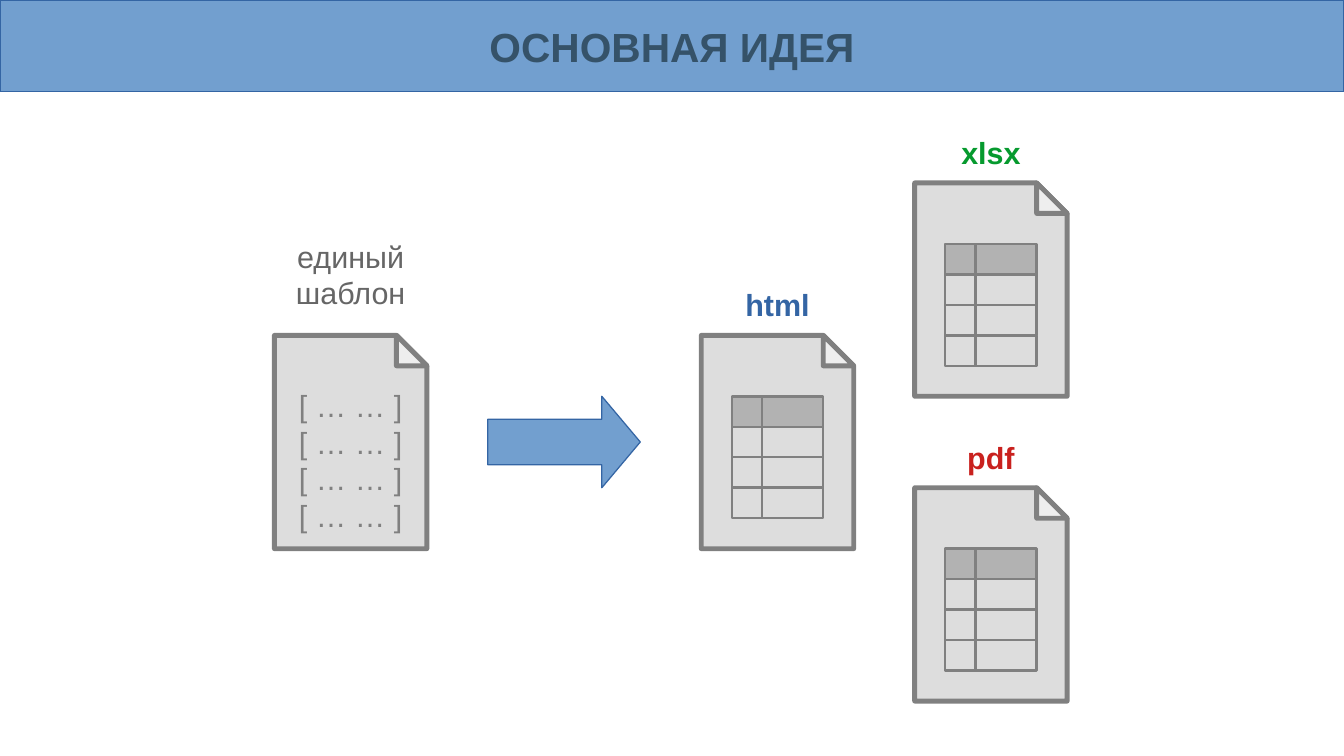
import pptx
import pptx.dml.color
import pptx.enum.shapes
import pptx.enum.text
import pptx.oxml
import pptx.oxml.ns
import pptx.util

PX = 9144  # EMU per px, 100 px to the inch
PAGE_WIDTH, PAGE_HEIGHT = 1102, 620
UNIT = 25  # grid step shared by every part
SHEET_WIDTH, SHEET_HEIGHT = 5 * UNIT, 7 * UNIT
LABEL_HEIGHT = 2 * UNIT

GRAY, PAPER, FOLD, HEADER = "808080", "DDDDDD", "EEEEEE", "B2B2B2"
BLUE, DARK_BLUE = "729FCF", "3465A4"
SHAPES = pptx.enum.shapes.MSO_SHAPE


def px(length):
    return pptx.util.Emu(length * PX)


def color(value):
    return pptx.dml.color.RGBColor.from_string(value)


def paint(shape, fill, line, width):
    shape.shadow.inherit = False
    shape.fill.solid()
    shape.fill.fore_color.rgb = color(fill)
    shape.line.color.rgb = color(line)
    shape.line.width = pptx.util.Pt(width)
    outline = shape._element.spPr.find(pptx.oxml.ns.qn("a:ln"))
    outline.append(pptx.oxml.parse_xml(
        "<a:round %s/>" % pptx.oxml.ns.nsdecls("a")))


def write(shape, lines, size=18, fill=GRAY, bold=False, wrap=False,
          insets=(10, 5, 10, 5)):
    frame = shape.text_frame
    frame.word_wrap = wrap
    frame.vertical_anchor = pptx.enum.text.MSO_ANCHOR.MIDDLE
    (frame.margin_left, frame.margin_top,
     frame.margin_right, frame.margin_bottom) = map(px, insets)
    for index, line in enumerate(lines):
        para = frame.paragraphs[0] if index == 0 else frame.add_paragraph()
        para.alignment = pptx.enum.text.PP_ALIGN.CENTER
        span = para.add_run()
        span.text = line
        span.font.name = "Arial"
        span.font.size = pptx.util.Pt(size)
        span.font.bold = bold
        span.font.color.rgb = color(fill)


def add_preset(page, kind, left, top, width, height, fill, line, weight):
    shape = page.shapes.add_shape(
        kind, px(left), px(top), px(width), px(height))
    paint(shape, fill, line, weight)
    return shape


def add_outline(shapes, points, fill):
    corners = [(px(x), px(y)) for x, y in points]
    builder = shapes.build_freeform(*corners[0], scale=1.0)
    builder.add_line_segments(corners[1:], close=True)
    shape = builder.convert_to_shape()
    paint(shape, fill, GRAY, 2.89)
    return shape


def add_title(page, left, top, width, height):
    bar = add_preset(page, SHAPES.RECTANGLE, left, top, width, height,
                     BLUE, DARK_BLUE, 0)
    write(bar, ["ОСНОВНАЯ ИДЕЯ"], size=24, fill="355269", bold=True)


def add_label(page, left, bottom, lines, **style):
    box = page.shapes.add_textbox(px(left), px(bottom - LABEL_HEIGHT),
                                  px(SHEET_WIDTH), px(LABEL_HEIGHT))
    write(box, lines, **style)


def add_sheet(page, left, top):
    """Sheet of paper with a folded corner."""
    right, bottom = left + SHEET_WIDTH, top + SHEET_HEIGHT
    fold_left, fold_bottom = right - UNIT, top + UNIT
    group = page.shapes.add_group_shape()
    sheet = add_outline(group.shapes, [
        (left, top), (left, bottom), (right, bottom),
        (right, fold_bottom), (fold_left, top)], PAPER)
    add_outline(group.shapes, [
        (fold_left, top), (fold_left, fold_bottom), (right, fold_bottom)],
        FOLD)
    return sheet


def add_template(page, left, top):
    add_label(page, left, top - UNIT, ["единый", "шаблон"], fill="666666")
    sheet = add_sheet(page, left, top)
    write(sheet, ["[ … … ]"] * 4, wrap=True, insets=(12, 37, 12, 7))


def add_report(page, left, top, name, name_color):
    """Named sheet holding a small grid with a darker first row."""
    add_label(page, left, top, [name], fill=name_color, bold=True)
    add_sheet(page, left, top)
    for row in (1, 2, 3, 0):  # the header row lies on top
        for column, span_units in ((1, 1), (2, 2)):
            add_preset(page, SHAPES.RECTANGLE,
                       left + column * UNIT, top + (row + 2) * UNIT,
                       span_units * UNIT, UNIT,
                       PAPER if row else HEADER, GRAY, 1.45)


def add_arrow(page, left, top, width, height):
    arrow = add_preset(page, SHAPES.RIGHT_ARROW, left, top, width, height,
                       BLUE, DARK_BLUE, 0)
    arrow.adjustments[0] = 0.5
    arrow.adjustments[1] = 0.42


def main():
    deck = pptx.Presentation()
    deck.slide_width, deck.slide_height = px(PAGE_WIDTH), px(PAGE_HEIGHT)
    page = deck.slides.add_slide(deck.slide_layouts[6])

    # One template on the left, three outputs on the right
    add_title(page, 0, 0, PAGE_WIDTH, 75)
    add_template(page, 225, 275)
    add_arrow(page, 400, 325, 125, 75)
    for left, top, name, name_color in (
            (575, 275, "html", DARK_BLUE),
            (750, 150, "xlsx", "069A2E"),
            (750, 400, "pdf", "C9211E")):
        add_report(page, left, top, name, name_color)

    deck.save("out.pptx")


if __name__ == "__main__":
    main()
